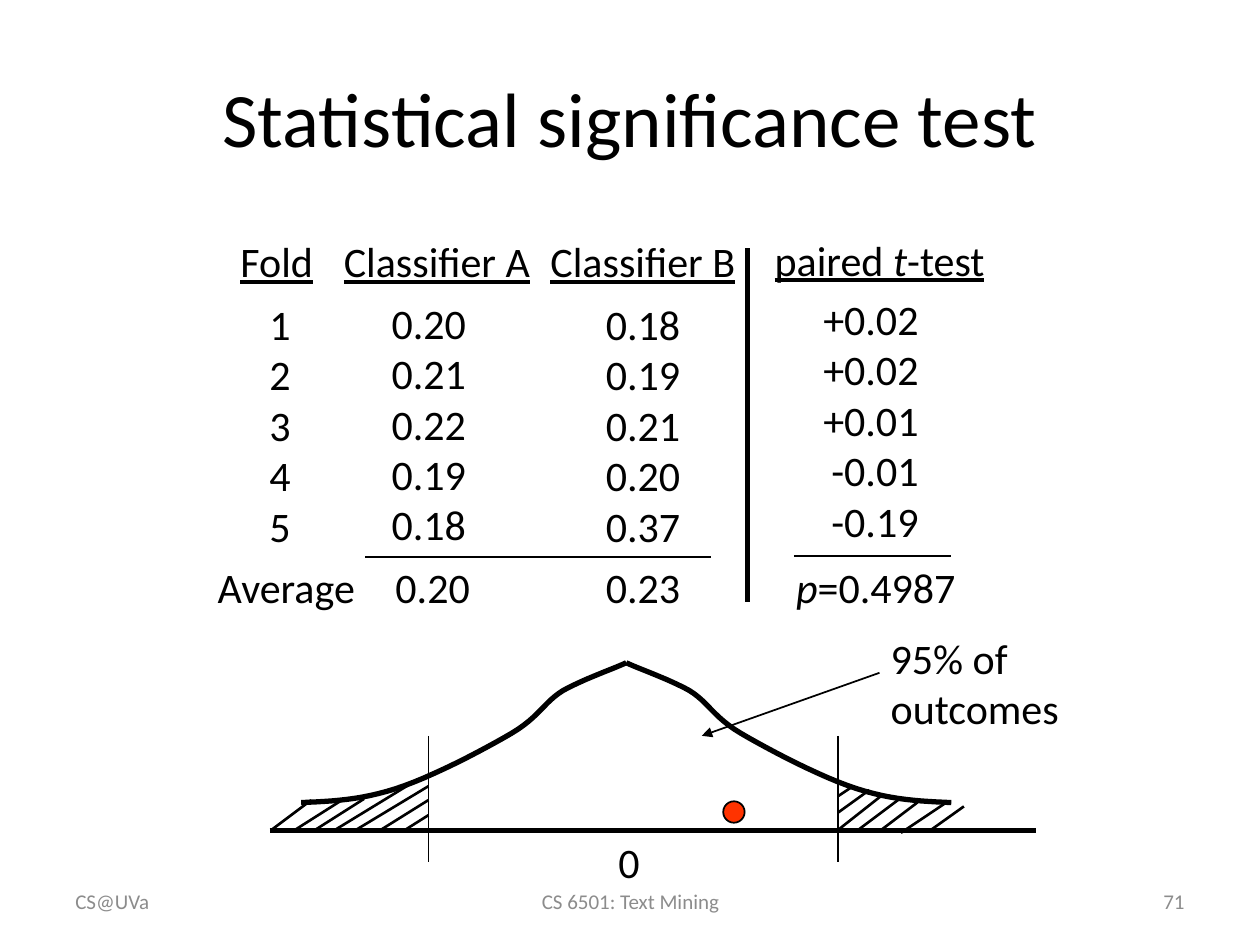
import pptx
import pptx.dml.color
import pptx.enum.shapes
import pptx.enum.text
import pptx.oxml
import pptx.oxml.ns
import pptx.util

Inches = pptx.util.Inches
Pt = pptx.util.Pt
ALIGN = pptx.enum.text.PP_ALIGN
ANCHOR = pptx.enum.text.MSO_ANCHOR
COLORS = {"ink": "000000", "footer": "8C8C8C", "outcome": "FF3300"}
BODY = {"size": Pt(24), "name": "Calibri"}
HEADER = {**BODY, "underline": True}
FOOTER = {"size": Pt(12), "name": "Calibri"}
TITLE = {"size": Pt(44), "name": "Calibri"}
CENTER_X = 4.97
AXIS_Y = 6.59

# left, top, width, lines
HEADERS = [
    (1.81, 1.82, 0.78, ["Fold"]),
    (2.63, 1.82, 1.69, ["Classifier A"]),
    (4.27, 1.82, 1.68, ["Classifier B"]),
    (6.05, 1.81, 1.88, [[("paired ", {}), ("t", {"italic": True}), ("-test", {})]]),
]
COLUMNS = [
    (2.04, 2.32, 0.37, ["1", "2", "3", "4", "5"]),
    (3.01, 2.31, 0.79, ["0.20", "0.21", "0.22", "0.19", "0.18"]),
    (4.71, 2.32, 0.79, ["0.18", "0.19", "0.21", "0.20", "0.37"]),
]
DIFFERENCES = (6.43, 2.28, 0.96, ["+0.02", "+0.02", "+0.01", "-0.01", "-0.19"])
SUMMARY = [
    (1.63, 4.41, 1.3, ["Average"]),
    (3.04, 4.41, 0.79, ["0.20"]),
    (4.71, 4.41, 0.79, ["0.23"]),
    (6.22, 4.41, 1.48, [[("p", {"italic": True}), ("=0.4987", {})]]),
]
# x1, y1, x2, y2
TABLE_RULES = [(2.9, 4.42, 5.64, 4.42), (6.3, 4.41, 7.55, 4.41)]
CUTOFFS = [(3.4, 5.84, 3.4, 6.84), (6.65, 5.84, 6.65, 6.84)]
HATCHING = [
    (3.4, 6.35, 3, 6.6), (3.4, 6.24, 2.82, 6.59), (3.26, 6.22, 2.67, 6.58),
    (3.4, 6.47, 3.21, 6.59), (2.89, 6.34, 2.48, 6.6), (2.73, 6.34, 2.32, 6.6),
    (2.47, 6.35, 2.15, 6.59),
    (7.65, 6.4, 7.37, 6.6), (6.9, 6.27, 6.65, 6.45), (7.51, 6.37, 7.15, 6.61),
    (6.77, 6.24, 6.65, 6.32), (7.28, 6.37, 6.99, 6.59), (7.14, 6.34, 6.82, 6.58),
    (6.99, 6.32, 6.66, 6.58),
]
# Bezier points of the left half of the bell; each segment starts where the last ended
BELL = [
    (2.39, 6.37), (2.63, 6.36), (2.86, 6.35), (3.14, 6.26),
    (3.42, 6.17), (3.84, 5.95), (4.06, 5.82),
    (4.28, 5.69), (4.32, 5.57), (4.47, 5.48),
    (4.63, 5.39), (4.89, 5.3), (4.97, 5.26),
]


def rgb(name):
    return pptx.dml.color.RGBColor.from_string(COLORS[name])


def fill_text(tf, lines, fmt, color="ink", align=ALIGN.LEFT):
    """Write one paragraph per line; a line is a string or (text, format) runs."""
    for i, line in enumerate(lines):
        p = tf.paragraphs[0] if i == 0 else tf.add_paragraph()
        p.alignment = align
        for text, extra in [(line, {})] if isinstance(line, str) else line:
            r = p.add_run()
            r.text = text
            r.font.color.rgb = rgb(color)
            for key, value in {**fmt, **extra}.items():
                setattr(r.font, key, value)


def add_text(slide, box, fmt, color="ink", align=ALIGN.LEFT, wrap=False,
             anchor=ANCHOR.TOP):
    left, top, width, lines = box
    height = 0.1 + 0.4 * len(lines)
    sp = slide.shapes.add_textbox(*map(Inches, (left, top, width, height)))
    tf = sp.text_frame
    tf.word_wrap = wrap
    tf.vertical_anchor = anchor
    fill_text(tf, lines, fmt, color, align)


def add_line(slide, ends, width=1, arrow=False):
    line = slide.shapes.add_connector(
        pptx.enum.shapes.MSO_CONNECTOR.STRAIGHT, *map(Inches, ends))
    line.line.color.rgb = rgb("ink")
    line.line.width = Pt(width)
    if arrow:
        tail = pptx.oxml.parse_xml(
            f'<a:tailEnd {pptx.oxml.ns.nsdecls("a")} type="triangle"/>')
        line.line._get_or_add_ln().append(tail)
    effects = pptx.oxml.parse_xml(f'<a:effectLst {pptx.oxml.ns.nsdecls("a")}/>')
    line._element.spPr.append(effects)


def sample_bezier(points, steps=12):
    samples = [points[0]]
    for i in range(0, len(points) - 1, 3):
        segment = points[i:i + 4]
        for t in (k / steps for k in range(1, steps + 1)):
            u = 1 - t
            weights = (u**3, 3 * u * u * t, 3 * u * t * t, t**3)
            samples.append(tuple(
                sum(w * pt[axis] for w, pt in zip(weights, segment))
                for axis in (0, 1)))
    return samples


def add_curve(slide, points):
    samples = [(Inches(x), Inches(y)) for x, y in sample_bezier(points)]
    builder = slide.shapes.build_freeform(*samples[0])
    builder.add_line_segments(samples[1:], close=False)
    sp = builder.convert_to_shape()
    sp.shadow.inherit = False
    sp.fill.background()
    sp.line.color.rgb = rgb("ink")
    sp.line.width = Pt(3)


def add_dot(slide, left, top, size):
    sp = slide.shapes.add_shape(
        pptx.enum.shapes.MSO_SHAPE.OVAL, *map(Inches, (left, top, size, size)))
    sp.shadow.inherit = False
    sp.fill.solid()
    sp.fill.fore_color.rgb = rgb("outcome")
    sp.line.color.rgb = rgb("ink")
    sp.line.width = Pt(1)


def add_title(slide, text):
    sp = slide.shapes.title
    sp.left, sp.top, sp.width, sp.height = map(Inches, (0.5, 0.3, 9, 1.25))
    sp.text_frame.vertical_anchor = ANCHOR.MIDDLE
    fill_text(sp.text_frame, [text], TITLE, align=ALIGN.CENTER)


def add_results(slide):
    for box in HEADERS:
        add_text(slide, box, HEADER)
    for box in COLUMNS + SUMMARY:
        add_text(slide, box, BODY)
    add_text(slide, DIFFERENCES, BODY, align=ALIGN.RIGHT)
    for ends in TABLE_RULES:
        add_line(slide, ends)
    add_line(slide, (5.93, 1.97, 5.93, 4.78), 3)


def add_distribution(slide):
    add_line(slide, (2.14, AXIS_Y, 8.22, AXIS_Y), 3)
    add_curve(slide, BELL)
    add_curve(slide, [(2 * CENTER_X - x, y) for x, y in BELL])
    add_text(slide, (4.81, AXIS_Y, 0.37, ["0"]), BODY)
    for ends in CUTOFFS:
        add_line(slide, ends)
    for ends in HATCHING:
        add_line(slide, ends, 1.5)
    add_line(slide, (6.98, 5.34, 5.57, 5.84), arrow=True)
    add_text(slide, (6.97, 4.97, 2.45, ["95% of outcomes"]), BODY, wrap=True)
    add_dot(slide, 5.74, 6.36, 0.17)


def add_footer(slide):
    for left, width, text, align in [
        (0.5, 2.33, "CS@UVa", ALIGN.LEFT),
        (3.42, 3.17, "CS 6501: Text Mining", ALIGN.CENTER),
        (7.17, 2.33, "71", ALIGN.RIGHT),
    ]:
        add_text(slide, (left, 6.9, width, [text]), FOOTER, "footer", align,
                 wrap=True, anchor=ANCHOR.MIDDLE)


def main():
    prs = pptx.Presentation()
    prs.slide_width, prs.slide_height = Inches(10), Inches(7.5)
    slide = prs.slides.add_slide(prs.slide_layouts[5])
    add_title(slide, "Statistical significance test")
    add_distribution(slide)
    add_footer(slide)
    add_results(slide)
    prs.save("out.pptx")


if __name__ == "__main__":
    main()
